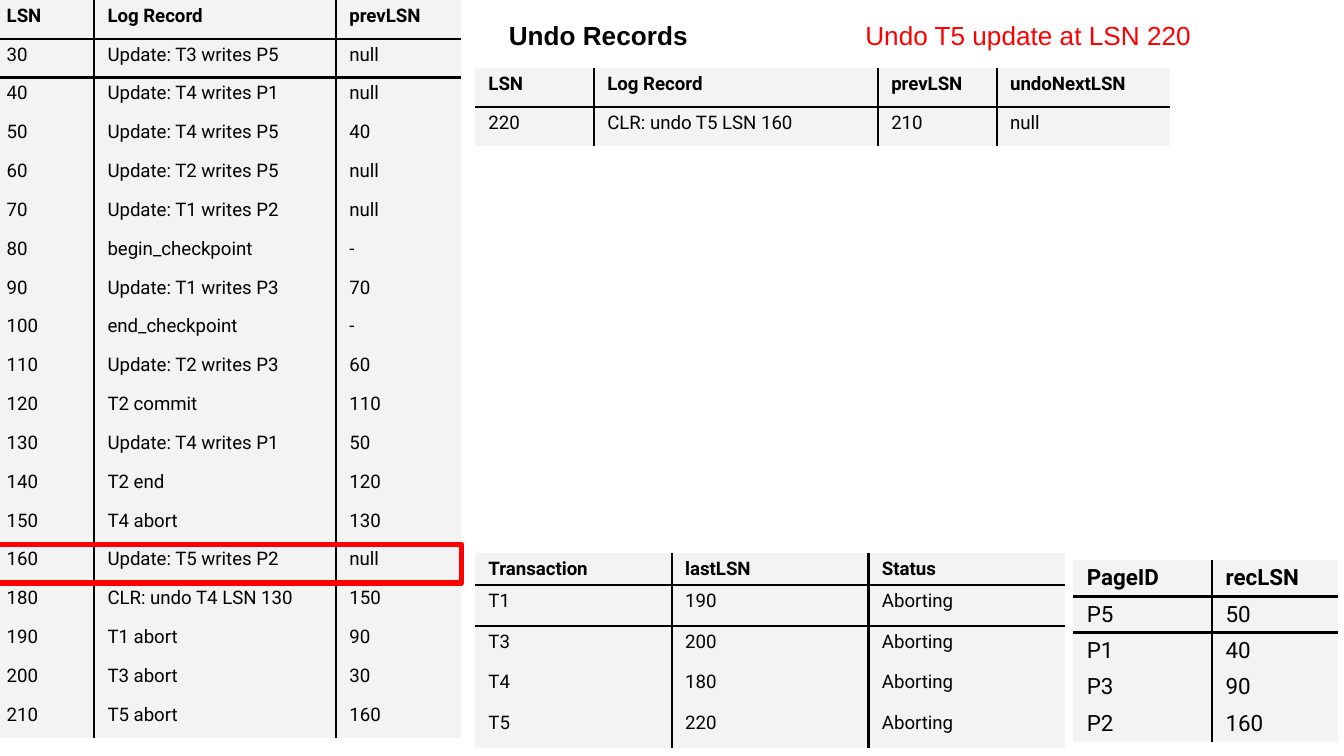
import lxml.etree
import pptx
import pptx.dml.color
import pptx.enum.shapes
import pptx.enum.text
import pptx.oxml.ns
import pptx.util

Pt = pptx.util.Pt
BLACK, RED, GRAY = "000000", "FF0000", "F3F3F3"
LEFT, MIDDLE_LEFT = -3.6, 254.5
LOG_ROW = 20.83

LOG = [
    ("LSN", "Log Record", "prevLSN"),
    ("30", "Update: T3 writes P5", "null"),
    ("40", "Update: T4 writes P1", "null"),
    ("50", "Update: T4 writes P5", "40"),
    ("60", "Update: T2 writes P5", "null"),
    ("70", "Update: T1 writes P2", "null"),
    ("80", "begin_checkpoint", "-"),
    ("90", "Update: T1 writes P3", "70"),
    ("100", "end_checkpoint", "-"),
    ("110", "Update: T2 writes P3", "60"),
    ("120", "T2 commit", "110"),
    ("130", "Update: T4 writes P1", "50"),
    ("140", "T2 end", "120"),
    ("150", "T4 abort", "130"),
    ("160", "Update: T5 writes P2", "null"),
    ("180", "CLR: undo T4 LSN 130", "150"),
    ("190", "T1 abort", "90"),
    ("200", "T3 abort", "30"),
    ("210", "T5 abort", "160"),
]
TRANSACTIONS = [
    ("Transaction", "lastLSN", "Status"),
    ("T1", "190", "Aborting"),
    ("T3", "200", "Aborting"),
    ("T4", "180", "Aborting"),
    ("T5", "220", "Aborting"),
]
DIRTY_PAGES = [
    ("PageID", "recLSN"),
    ("P5", "50"),
    ("P1", "40"),
    ("P3", "90"),
    ("P2", "160"),
]
UNDO_RECORDS = [
    ("LSN", "Log Record", "prevLSN", "undoNextLSN"),
    ("220", "CLR: undo T5 LSN 160", "210", "null"),
]


def color(hex_string):
    """Turn a hex string into a colour."""
    return pptx.dml.color.RGBColor.from_string(hex_string)


def style_font(font, name, size, hex_string, bold=False):
    """Set the face, size, colour and weight of a font."""
    font.name, font.size, font.bold = name, Pt(size), bold
    font.color.rgb = color(hex_string)


def add_child(parent, tag, **attributes):
    """Append a DrawingML element to a parent."""
    return lxml.etree.SubElement(parent, pptx.oxml.ns.qn(tag), **attributes)


def set_borders(cell, visible):
    """Draw the visible sides of a cell in black and hide the others."""
    properties = cell._tc.get_or_add_tcPr()
    for side in "LRTB":
        line = add_child(properties, f"a:ln{side}", w=str(Pt(1.5)))
        if side in visible:
            add_child(add_child(line, "a:solidFill"), "a:srgbClr", val=BLACK)
        else:
            add_child(line, "a:noFill")


def inner_sides(row, column, row_count, column_count):
    """Name the cell sides that carry a rule between columns or top rows."""
    last_ruled_row = min(2, row_count - 1)
    tests = {
        "L": column > 0,
        "R": column < column_count - 1,
        "T": 0 < row <= last_ruled_row,
        "B": row < last_ruled_row,
    }
    return [side for side, ruled in tests.items() if ruled]


def add_grid(slide, left, top, widths, heights, records, size=10):
    """Add a gray table with a bold header row."""
    shape = slide.shapes.add_table(
        len(records), len(widths), Pt(left), Pt(top), Pt(sum(widths)), Pt(sum(heights)))
    table = shape.table
    table.horz_banding = False
    for column, width in zip(table.columns, widths):
        column.width = Pt(width)
    for row, height in zip(table.rows, heights):
        row.height = Pt(height)
    for row, record in enumerate(records):
        for column, text in enumerate(record):
            cell = table.cell(row, column)
            cell.text = text
            cell.margin_left = cell.margin_right = Pt(7.2)
            cell.margin_top = cell.margin_bottom = Pt(2.7)
            set_borders(cell, inner_sides(row, column, len(records), len(widths)))
            cell.fill.solid()
            cell.fill.fore_color.rgb = color(GRAY)
            style_font(cell.text_frame.paragraphs[0].font, "Roboto", size, BLACK, row == 0)


def add_label(slide, left, width, text, hex_string, bold=False):
    """Add a heading line at the top of the slide."""
    frame = slide.shapes.add_textbox(Pt(left), Pt(3), Pt(width), Pt(31.7)).text_frame
    frame.word_wrap = True
    frame.auto_size = pptx.enum.text.MSO_AUTO_SIZE.SHAPE_TO_FIT_TEXT
    frame.margin_left = frame.margin_right = Pt(7.2)
    frame.margin_top = frame.margin_bottom = Pt(7.2)
    frame.text = text
    style_font(frame.paragraphs[0].font, "Arial", 14, hex_string, bold)


def add_highlight(slide, left, top, width, height):
    """Add a red outline around a table row."""
    shape = slide.shapes.add_shape(
        pptx.enum.shapes.MSO_SHAPE.RECTANGLE, Pt(left), Pt(top), Pt(width), Pt(height))
    shape.shadow.inherit = False
    shape.fill.background()
    shape.line.color.rgb = color(RED)
    shape.line.width = Pt(3)
    add_child(shape.line._get_or_add_ln(), "a:round")


def main():
    """Build the slide and save it."""
    presentation = pptx.Presentation()
    presentation.slide_width, presentation.slide_height = Pt(720), Pt(405)
    slide = presentation.slides.add_slide(presentation.slide_layouts[6])
    add_grid(slide, LEFT, 0, [54, 129.6, 67], [LOG_ROW] * len(LOG), LOG)
    add_grid(slide, MIDDLE_LEFT, 296.3, [105.4] * 3, [10.8] + [21.9] * 4, TRANSACTIONS)
    add_grid(slide, 575, 300, [74.4, 67.5], [16.6] * 5, DIRTY_PAGES, size=12)
    undone_row = [record[0] for record in LOG].index("160")
    add_highlight(slide, LEFT, undone_row * LOG_ROW, 250.8, LOG_ROW)
    add_label(slide, 265.5, 153.4, "Undo Records", BLACK, bold=True)
    add_grid(slide, MIDDLE_LEFT, 36.5, [63.7, 152.1, 63.7, 92.8], [LOG_ROW] * 2, UNDO_RECORDS)
    add_label(slide, 456.5, 244.8, "Undo T5 update at LSN 220", RED)
    presentation.save("out.pptx")


if __name__ == "__main__":
    main()
